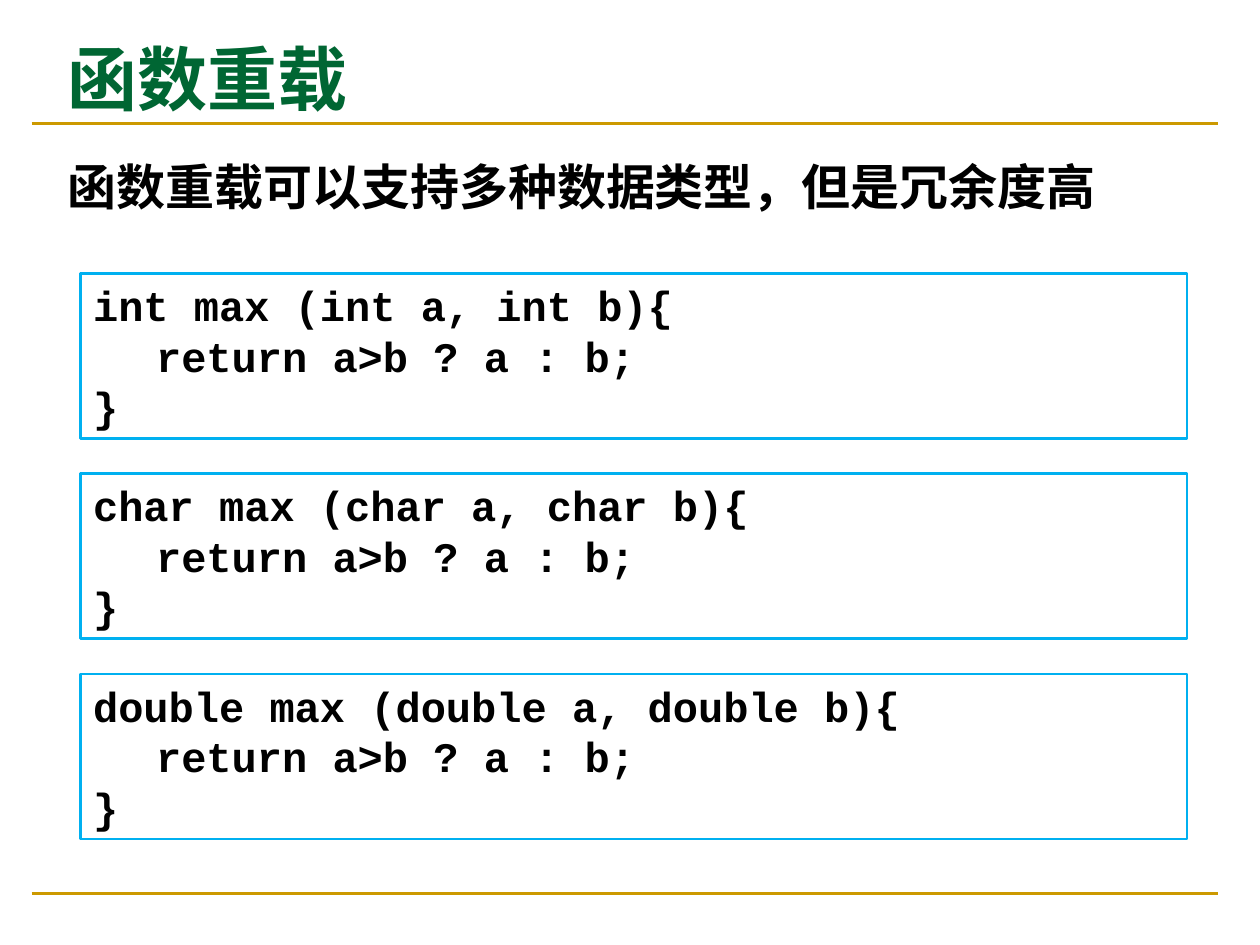
"""Build the slide on function overloading."""
from lxml import etree
from pptx import Presentation
from pptx.dml.color import RGBColor
from pptx.enum import shapes, text
from pptx.oxml.ns import qn
from pptx.util import Inches, Pt

GOLD = RGBColor(0xCC, 0x99, 0x00)
GREEN = RGBColor(0x00, 0x66, 0x33)
BLUE = RGBColor(0x00, 0xB0, 0xF0)
BLACK = RGBColor(0, 0, 0)
CJK = "Noto Sans CJK SC"


def style(para, face, size, color):
    font = para.font
    font.name, font.size, font.bold = face, Pt(size), True
    font.color.rgb = color
    east = etree.SubElement(para._p.pPr.find(qn("a:defRPr")), qn("a:ea"))
    east.set("typeface", CJK)


def add_rule(slide, y):
    kind = shapes.MSO_CONNECTOR.STRAIGHT
    rule = slide.shapes.add_connector(
        kind, Inches(0.25), Inches(y), Inches(9.67), Inches(y))
    rule.line.color.rgb = GOLD
    rule.line.width = Pt(1.5)
    etree.SubElement(rule._element.spPr, qn("a:effectLst"))


def add_text(slide, words, box, face, size, color, anchor):
    frame = slide.shapes.add_textbox(*map(Inches, box)).text_frame
    frame.word_wrap = True
    frame.vertical_anchor = anchor
    frame.text = words
    style(frame.paragraphs[0], face, size, color)


def add_code(slide, kind, y):
    box = slide.shapes.add_shape(
        shapes.MSO_SHAPE.RECTANGLE,
        Inches(0.64), Inches(y), Inches(8.78), Inches(1.31))
    box.shadow.inherit = False
    box.fill.background()
    box.line.color.rgb = BLUE
    box.line.width = Pt(1.5)
    frame = box.text_frame
    frame.word_wrap = True
    frame.auto_size = text.MSO_AUTO_SIZE.SHAPE_TO_FIT_TEXT
    frame.vertical_anchor = text.MSO_ANCHOR.TOP
    frame.text = f"{kind} max ({kind} a, {kind} b){{\n\treturn a>b ? a : b;\n}}"
    for para in frame.paragraphs:
        para.alignment = text.PP_ALIGN.JUSTIFY
        style(para, "Courier New", 24, BLACK)


def main():
    deck = Presentation()
    deck.slide_width, deck.slide_height = Inches(10), Inches(7.5)
    slide = deck.slides.add_slide(deck.slide_layouts[6])
    for y in (7.09, 0.98):
        add_rule(slide, y)
    add_text(slide, "函数重载", (0.44, 0.21, 6.37, 0.81),
             CJK, 40, GREEN, text.MSO_ANCHOR.MIDDLE)
    add_text(slide, "函数重载可以支持多种数据类型，但是冗余度高",
             (0.44, 1.19, 8.97, 0.69), "Cabin", 28, BLACK, text.MSO_ANCHOR.TOP)
    for row, kind in enumerate(("int", "char", "double")):
        add_code(slide, kind, 2.17 + 1.59 * row)
    deck.save("out.pptx")


if __name__ == "__main__":
    main()
